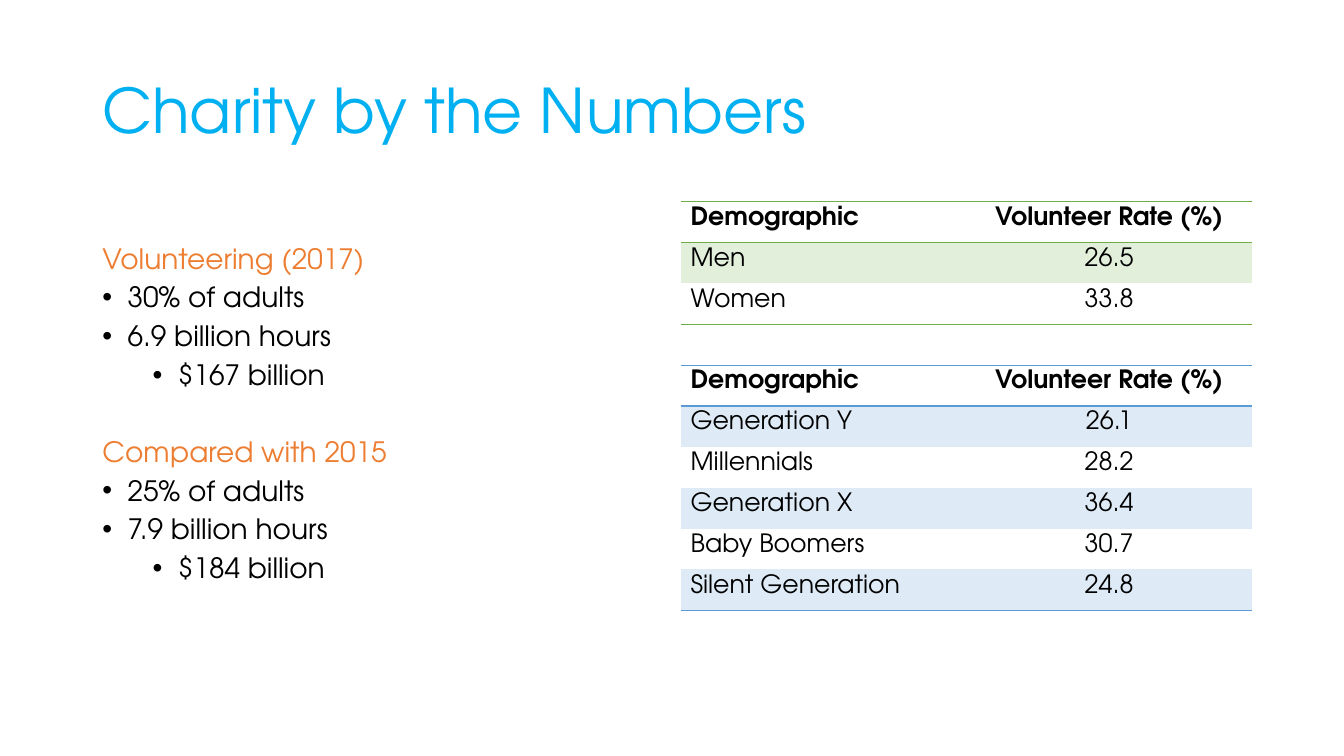
from pptx import Presentation
from pptx.dml.color import RGBColor
from pptx.enum import text as t
from pptx.oxml import parse_xml
from pptx.oxml.ns import nsdecls
from pptx.util import Cm, Pt

FONT = "TeX Gyre Adventor"
CYAN = RGBColor(0x00, 0xB0, 0xF0)
ORANGE = RGBColor(0xED, 0x7D, 0x31)
BLACK = RGBColor(0, 0, 0)
GREEN = RGBColor(0x70, 0xAD, 0x47)
MINT = RGBColor(0xE2, 0xEF, 0xDA)
BLUE = RGBColor(0x5B, 0x9B, 0xD5)
PALE = RGBColor(0xDE, 0xEB, 0xF7)
PLAIN = "{2D5ABB26-0587-4C30-8999-92F81FD0307C}"  # table style without grid

HEAD = ("Demographic", "Volunteer Rate (%)")
GENDER = [HEAD, ("Men", "26.5"), ("Women", "33.8")]
AGES = [HEAD, ("Generation Y", "26.1"), ("Millennials", "28.2"),
        ("Generation X", "36.4"), ("Baby Boomers", "30.7"),
        ("Silent Generation", "24.8")]
# Level 0 is a heading, 1 and 2 are bullets
FACTS = [(0, "Volunteering (2017)"), (1, "30% of adults"),
         (1, "6.9 billion hours"), (2, "$167 billion"),
         (0, "Compared with 2015"), (1, "25% of adults"),
         (1, "7.9 billion hours"), (2, "$184 billion")]


def style(para, size, color, bold=False):
    font = para.font
    font.name, font.size, font.bold = FONT, Pt(size), bold
    font.color.rgb = color


def add_box(slide, left, top, width, height, anchor):
    frame = slide.shapes.add_textbox(
        Cm(left), Cm(top), Cm(width), Cm(height)).text_frame
    frame.word_wrap = True
    frame.vertical_anchor = anchor
    return frame


def add_title(slide, words):
    frame = add_box(slide, 2.33, 1.01, 29.21, 3.68, t.MSO_ANCHOR.MIDDLE)
    para = frame.paragraphs[0]
    para.text = words
    para.line_spacing = 0.9
    style(para, 44, CYAN)


def add_bullet(para, level):
    props = para._p.get_or_add_pPr()
    props.set("marL", str(Cm(0.635 + 1.27 * (level - 1))))
    props.set("indent", str(-Cm(0.635)))
    props.append(parse_xml(f'<a:buFont {nsdecls("a")} typeface="Arial"/>'))
    props.append(parse_xml(f'<a:buChar {nsdecls("a")} char="•"/>'))


def add_facts(slide, facts):
    frame = add_box(slide, 2.33, 6.05, 14.4, 11.12, t.MSO_ANCHOR.TOP)
    for i, (level, words) in enumerate(facts):
        para = frame.paragraphs[0] if i == 0 else frame.add_paragraph()
        para.text = words
        para.line_spacing = 0.9
        if i:
            para.space_before = Pt(6 if level else 33.6)
        if level:
            para.level = level - 1
            add_bullet(para, level)
        style(para, 20, BLACK if level else ORANGE)


def add_rule(cell, side, color):
    # Borders come before the fill in the cell properties
    line = parse_xml(
        f'<a:{side} {nsdecls("a")} w="12700"><a:solidFill>'
        f'<a:srgbClr val="{color}"/></a:solidFill></a:{side}>')
    props = cell._tc.get_or_add_tcPr()
    props.insert(len(props) - 1, line)


def add_rates(slide, top, rows, color, band):
    high = 1.03
    table = slide.shapes.add_table(
        len(rows), 2, Cm(17.15), Cm(top), Cm(14.4), Cm(high * len(rows))).table
    table.first_row = table.horz_banding = False
    table._tbl.tblPr.find(
        "{*}tableStyleId").text = PLAIN
    for r, row in enumerate(rows):
        table.rows[r].height = Cm(high)
        for c, words in enumerate(row):
            cell = table.cell(r, c)
            para = cell.text_frame.paragraphs[0]
            para.text = words
            para.alignment = t.PP_ALIGN.CENTER if c else t.PP_ALIGN.LEFT
            style(para, 18, BLACK, r == 0)
            if r % 2:
                cell.fill.solid()
                cell.fill.fore_color.rgb = band
            else:
                cell.fill.background()
            if r == 0:
                add_rule(cell, "lnT", color)
            if r in (0, len(rows) - 1):
                add_rule(cell, "lnB", color)


def main():
    deck = Presentation()
    deck.slide_width, deck.slide_height = Cm(33.87), Cm(19.05)
    slide = deck.slides.add_slide(deck.slide_layouts[6])

    # Heading and facts on the left
    add_title(slide, "Charity by the Numbers")
    add_facts(slide, FACTS)

    # Volunteer rates on the right
    add_rates(slide, 5.08, GENDER, GREEN, MINT)
    add_rates(slide, 9.2, AGES, BLUE, PALE)

    deck.save("out.pptx")


if __name__ == "__main__":
    main()
